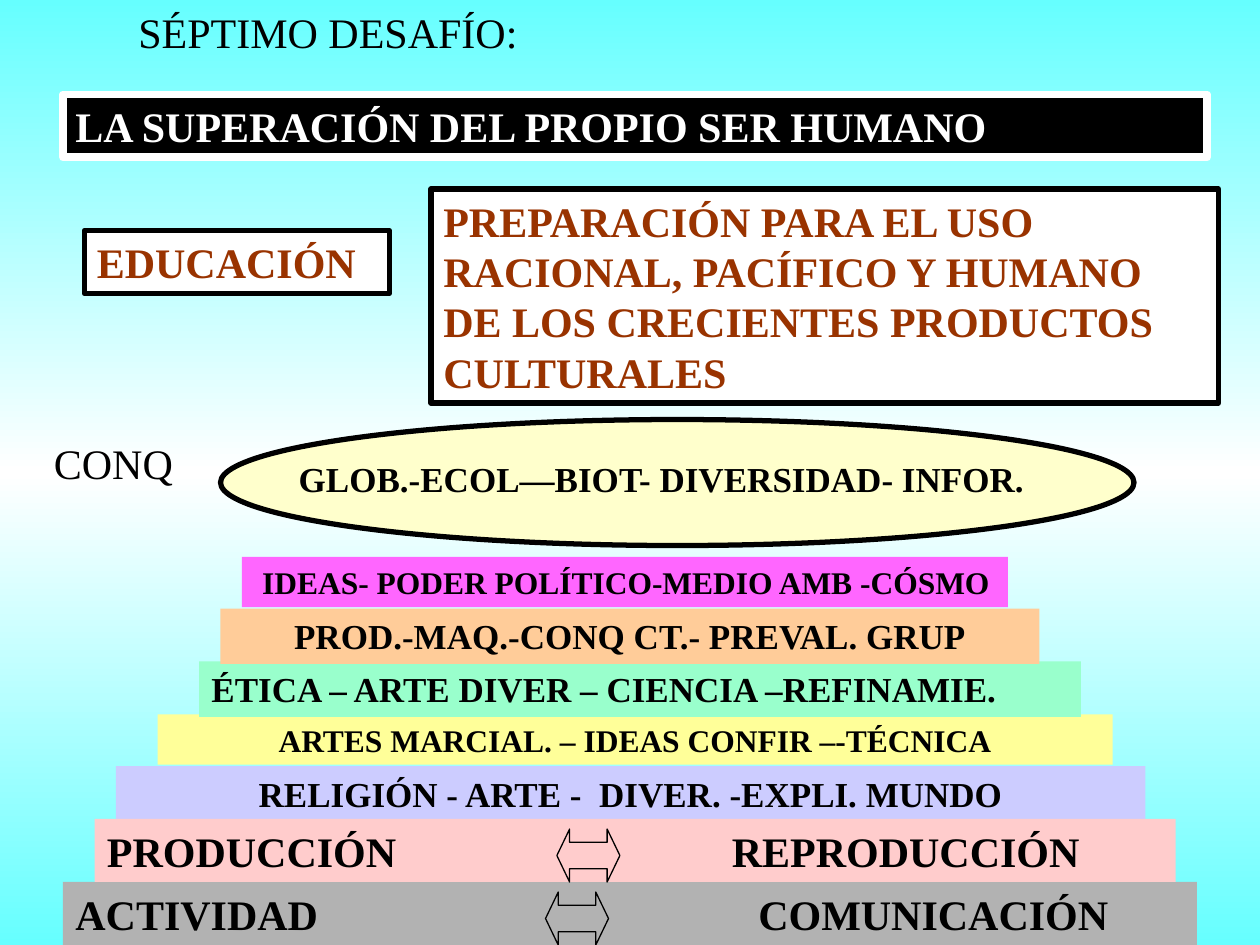
from copy import deepcopy
from pptx import Presentation
from pptx.dml.color import RGBColor
from pptx.enum.shapes import MSO_SHAPE as Preset
from pptx.enum.text import MSO_ANCHOR as Anchor, PP_ALIGN as Align
from pptx.oxml.ns import qn
from pptx.oxml.xmlchemy import OxmlElement
from pptx.util import Inches, Pt

THEME = {
    "font": "Times New Roman",
    "large": 24, "medium": 20, "small": 18,
    "black": "000000", "white": "FFFFFF", "brown": "993300",
    "cyan": "66FFFF", "cream": "FFFFCC", "lavender": "CCCCFF",
    "gray": "B2B2B2", "pink": "FFCCCC", "yellow": "FFFF99",
    "mint": "99FFCC", "orange": "FFCC99", "magenta": "FF66FF",
}

LABELS = [
    ("SÉPTIMO DESAFÍO:", (1, 0, 8.17, 0.5)),
    ("CONQ", (0.33, 3.42, 1.17, 0.5)),
]
BOXES = [
    ("LA SUPERACIÓN DEL PROPIO SER HUMANO", (0.5, 0.75, 9.08, 0.5),
     "black", "white", 4.5, "white"),
    ("EDUCACIÓN", (0.67, 1.83, 2.42, 0.5), "white", "black", 3, "brown"),
    ("PREPARACIÓN PARA EL USO RACIONAL, PACÍFICO Y HUMANO DE LOS CRECIENTES "
     "PRODUCTOS CULTURALES", (3.42, 1.5, 6.25, 1.7),
     "white", "black", 3, "brown"),
]
ELLIPSE = (1.75, 3.33, 7.25, 1)
ELLIPSE_LABEL = ("GLOB.-ECOL—BIOT- DIVERSIDAD- INFOR.", (2.25, 3.58, 6, 0.44))
PYRAMID = [
    ("RELIGIÓN - ARTE -  DIVER. -EXPLI. MUNDO", 0.92, 6.08, 8.17,
     "lavender", "medium", {"align": Align.CENTER}),
    ("ACTIVIDAD\tCOMUNICACIÓN", 0.5, 7, 9, "gray", "large", {"tab": 5.42}),
    ("PRODUCCIÓN\tREPRODUCCIÓN", 0.75, 6.5, 8.58, "pink", "large", {"tab": 4.96}),
    ("ARTES MARCIAL. – IDEAS CONFIR –-TÉCNICA", 1.25, 5.67, 7.58,
     "yellow", "small", {"align": Align.CENTER}),
    ("ÉTICA – ARTE DIVER – CIENCIA –REFINAMIE.", 1.58, 5.25, 7,
     "mint", "medium", {}),
    ("PROD.-MAQ.-CONQ CT.- PREVAL. GRUP", 1.75, 4.83, 6.5,
     "orange", "medium", {"align": Align.CENTER}),
    ("IDEAS- PODER POLÍTICO-MEDIO AMB -CÓSMO", 1.92, 4.42, 6.08,
     "magenta", "small", {"inset": 0.16}),
]
BAND_HEIGHTS = {"large": 0.5, "medium": 0.44, "small": 0.4}
ARROWS = [(4.33, 7.08, "gray"), (4.42, 6.58, "pink")]


def color(name):
    return RGBColor.from_string(THEME[name])


def place(box):
    return [Inches(length) for length in box]


def paint_background(slide):
    fill = slide.background.fill
    fill.gradient()
    fill.gradient_angle = 270
    stop_list = slide.element.find(".//" + qn("a:gsLst"))
    stop_list.append(deepcopy(stop_list[0]))
    for index, (stop, name) in enumerate(
            zip(fill.gradient_stops, ("cyan", "white", "cyan"))):
        stop.position = index / 2
        stop.color.rgb = color(name)


def add_shape(slide, preset, box, fill, line=None, width=0):
    shape = slide.shapes.add_shape(preset, *place(box))
    shape.shadow.inherit = False
    shape.fill.solid()
    shape.fill.fore_color.rgb = color(fill)
    if line:
        shape.line.color.rgb = color(line)
        shape.line.width = Pt(width)
    else:
        shape.line.fill.background()
    return shape


def write(shape, text, size="large", ink="black", bold=True,
          align=Align.LEFT, tab=None, inset=0.1):
    frame = shape.text_frame
    frame.word_wrap = True
    frame.vertical_anchor = Anchor.TOP
    frame.margin_left = Inches(inset)
    frame.text = text
    paragraph = frame.paragraphs[0]
    paragraph.alignment = align
    if tab:
        tab_list = OxmlElement("a:tabLst")
        stop = OxmlElement("a:tab")
        stop.set("pos", str(Inches(tab)))
        stop.set("algn", "l")
        tab_list.append(stop)
        paragraph._p.get_or_add_pPr().append(tab_list)
    for run in paragraph.runs:
        run.font.name = THEME["font"]
        run.font.size = Pt(THEME[size])
        run.font.bold = bold
        run.font.color.rgb = color(ink)


def add_label(slide, text, box, **style):
    write(slide.shapes.add_textbox(*place(box)), text, **style)


def main():
    presentation = Presentation()
    presentation.slide_width = Inches(10)
    presentation.slide_height = Inches(7.5)
    slide = presentation.slides.add_slide(presentation.slide_layouts[6])
    paint_background(slide)

    for text, box in LABELS:
        add_label(slide, text, box, bold=False)
    for text, box, fill, line, width, ink in BOXES:
        shape = add_shape(slide, Preset.RECTANGLE, box, fill, line, width)
        write(shape, text, ink=ink)
    add_shape(slide, Preset.OVAL, ELLIPSE, "cream", "black", 3)
    for text, left, top, width, fill, size, style in PYRAMID:
        box = (left, top, width, BAND_HEIGHTS[size])
        band = add_shape(slide, Preset.RECTANGLE, box, fill)
        write(band, text, size, **style)
    for left, top, fill in ARROWS:
        arrow = add_shape(slide, Preset.LEFT_RIGHT_ARROW,
                          (left, top, 0.5, 0.42), fill, "black", 0.75)
        arrow.adjustments[0] = 0.5
        arrow.adjustments[1] = 0.24
    add_label(slide, *ELLIPSE_LABEL, size="medium", align=Align.CENTER)

    presentation.save("out.pptx")


if __name__ == "__main__":
    main()
